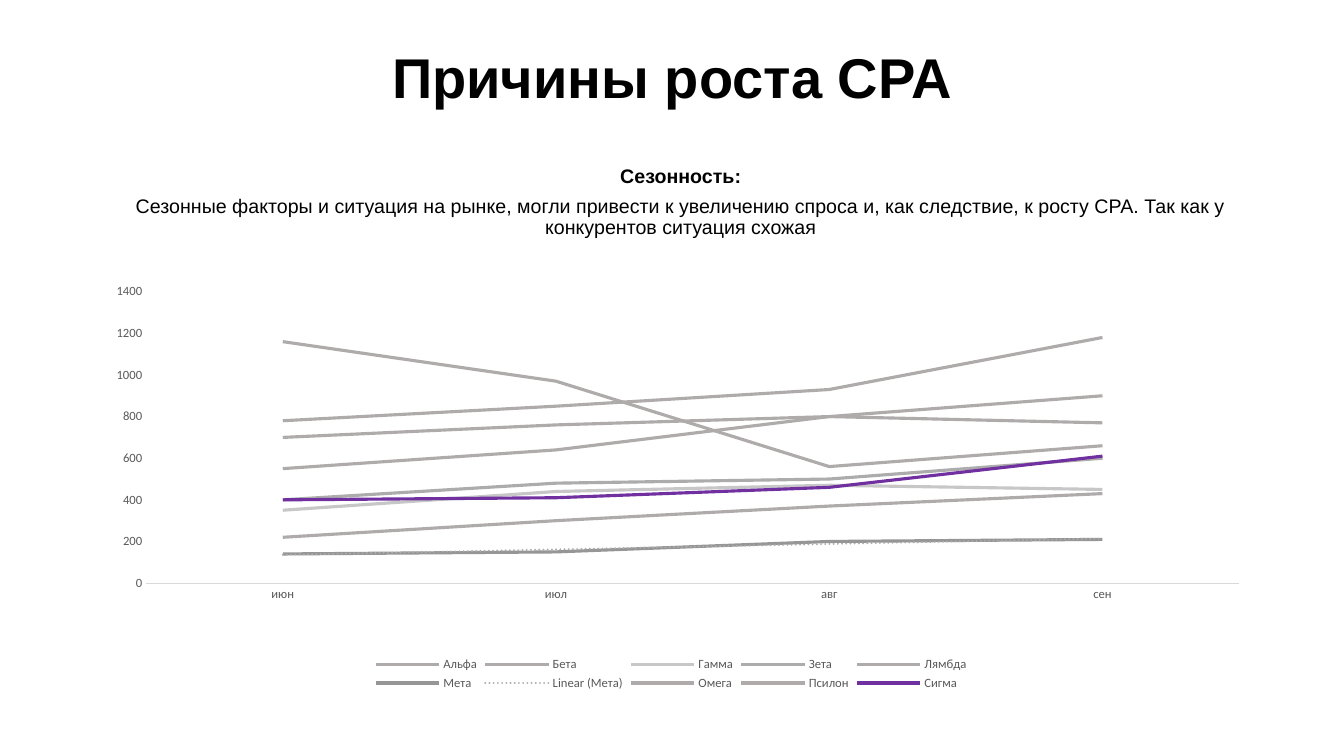
from pptx import Presentation
from pptx.chart.data import CategoryChartData
from pptx.dml.color import RGBColor
from pptx.enum.chart import XL_CHART_TYPE, XL_LEGEND_POSITION, XL_TICK_MARK
from pptx.enum.text import MSO_ANCHOR, PP_ALIGN
from pptx.oxml import parse_xml
from pptx.oxml.ns import nsdecls, qn
from pptx.util import Cm, Pt

LINE_CHART = XL_CHART_TYPE.LINE
LEGEND_BOTTOM = XL_LEGEND_POSITION.BOTTOM
NO_TICKS = XL_TICK_MARK.NONE
CENTER = PP_ALIGN.CENTER
MIDDLE = MSO_ANCHOR.MIDDLE

BLACK = RGBColor(0x00, 0x00, 0x00)
LABEL_GREY = RGBColor(0x59, 0x59, 0x59)
AXIS_GREY = RGBColor(0xD9, 0xD9, 0xD9)
GREY = RGBColor(0xAF, 0xAB, 0xAB)
NEUTRAL_GREY = RGBColor(0xAC, 0xAC, 0xAC)
LIGHT_GREY = RGBColor(0xC7, 0xC7, 0xC7)
DARK_GREY = RGBColor(0x96, 0x96, 0x96)
PURPLE = RGBColor(0x70, 0x30, 0xA0)

MONTHS = ["июн", "июл", "авг", "сен"]
COMPETITORS = [
    ("Альфа", (780, 850, 930, 1180), GREY),
    ("Бета", (550, 640, 800, 770), GREY),
    ("Гамма", (350, 440, 470, 450), LIGHT_GREY),
    ("Зета", (400, 480, 500, 600), NEUTRAL_GREY),
    ("Лямбда", (220, 300, 370, 430), GREY),
    ("Мета", (140, 150, 200, 210), DARK_GREY),
    ("Омега", (1160, 970, 560, 660), GREY),
    ("Псилон", (700, 760, 800, 900), GREY),
    ("Сигма", (400, 410, 460, 610), PURPLE),
]
TREND_SERIES = "Мета"
PLOT_LAYOUT = {"x": 0.047, "y": 0.062, "w": 0.943, "h": 0.679}


def style_font(font, size, color, name, bold=False):
    font.size = Pt(size)
    font.color.rgb = color
    font.name = name
    font.bold = bold


def add_text(slide, box, lines, size, space_after=0):
    """Fill a centred text box with (text, bold) lines."""
    frame = slide.shapes.add_textbox(*box).text_frame
    frame.word_wrap = True
    frame.vertical_anchor = MIDDLE
    for index, (text, bold) in enumerate(lines):
        paragraph = frame.add_paragraph() if index else frame.paragraphs[0]
        paragraph.alignment = CENTER
        paragraph.line_spacing = 0.9
        paragraph.space_after = Pt(space_after)
        run = paragraph.add_run()
        run.text = text
        style_font(run.font, size, BLACK, "Arial", bold)


def set_plot_layout(chart):
    """Fix the inner plot area as fractions of the chart."""
    plot_area = chart._chartSpace.chart.plotArea
    for layout in plot_area.findall(qn("c:layout")):
        plot_area.remove(layout)
    sizes = "".join(f'<c:{key} val="{value}"/>' for key, value in PLOT_LAYOUT.items())
    plot_area.insert(0, parse_xml(
        f'<c:layout {nsdecls("c")}><c:manualLayout><c:layoutTarget val="inner"/>'
        f'<c:xMode val="edge"/><c:yMode val="edge"/>{sizes}'
        '</c:manualLayout></c:layout>'))


def add_trend_line(series):
    trend_line = parse_xml(
        f'<c:trendline {nsdecls("c", "a")}><c:spPr><a:ln w="{Pt(1.5)}" cap="rnd">'
        f'<a:solidFill><a:srgbClr val="{GREY}"/></a:solidFill>'
        '<a:prstDash val="sysDot"/></a:ln></c:spPr>'
        '<c:trendlineType val="linear"/><c:dispRSqr val="0"/><c:dispEq val="0"/>'
        '</c:trendline>')
    series._element.find(qn("c:cat")).addprevious(trend_line)


def style_axis(axis):
    axis.major_tick_mark = axis.minor_tick_mark = NO_TICKS
    axis.has_major_gridlines = False
    style_font(axis.tick_labels.font, 9, LABEL_GREY, "Calibri")


def add_cost_chart(slide, box):
    data = CategoryChartData()
    data.categories = MONTHS
    for name, values, _ in COMPETITORS:
        data.add_series(name, values)
    chart = slide.shapes.add_chart(LINE_CHART, *box, data).chart
    chart.has_title = False
    style_font(chart.font, 10, BLACK, "Calibri")
    set_plot_layout(chart)

    for series, (name, _, color) in zip(chart.plots[0].series, COMPETITORS):
        series.smooth = False
        series.format.line.color.rgb = color
        series.format.line.width = Pt(2.25)
        if name == TREND_SERIES:
            add_trend_line(series)

    style_axis(chart.category_axis)
    chart.category_axis.format.line.color.rgb = AXIS_GREY
    chart.category_axis.format.line.width = Pt(0.75)
    value_axis = chart.value_axis
    style_axis(value_axis)
    value_axis.format.line.fill.background()
    value_axis.minimum_scale = 0
    value_axis.maximum_scale = 1400
    value_axis.major_unit = 200

    chart.has_legend = True
    chart.legend.position = LEGEND_BOTTOM
    chart.legend.include_in_layout = False
    style_font(chart.legend.font, 9, LABEL_GREY, "Calibri")


def main():
    presentation = Presentation()
    presentation.slide_width = Cm(33.87)
    presentation.slide_height = Cm(19.05)
    slide = presentation.slides.add_slide(presentation.slide_layouts[6])

    title_box = (Cm(2.8), Cm(0.48), Cm(28.27), Cm(3.07))
    add_text(slide, title_box, [("Причины роста CPA", True)], 40)
    reason_box = (Cm(3.02), Cm(4.04), Cm(28.27), Cm(2.13))
    add_text(slide, reason_box, [
        ("Сезонность:", True),
        ("Сезонные факторы и ситуация на рынке, могли привести к увеличению спроса и, "
         "как следствие, к росту CPA. Так как у конкурентов ситуация схожая", False),
    ], 14, space_after=6)
    add_cost_chart(slide, (Cm(2.31), Cm(6.68), Cm(29.21), Cm(10.82)))
    presentation.save("out.pptx")


if __name__ == "__main__":
    main()
